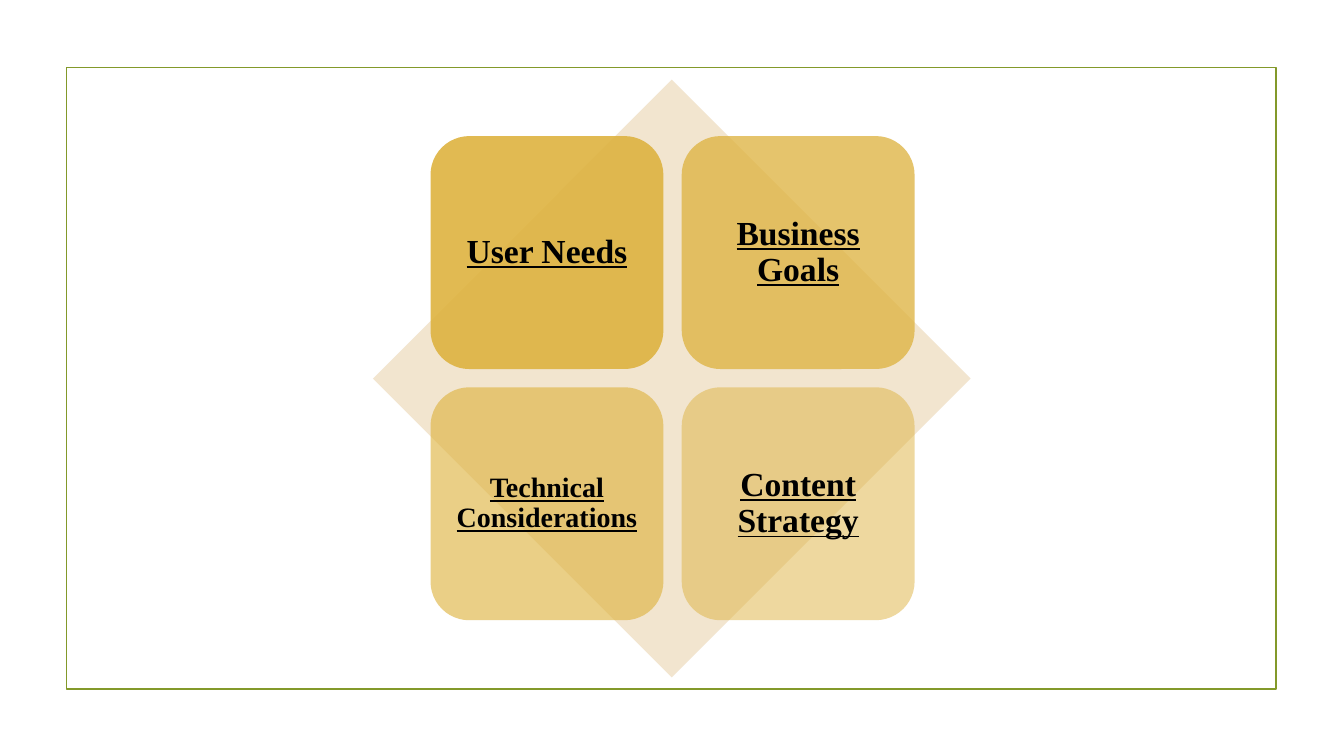
from pptx import Presentation
from pptx import util as u
from pptx.dml.color import RGBColor
from pptx.enum import shapes, text
from pptx.oxml.ns import qn
from lxml import etree

COLORS = {"frame": "83992A", "diamond": "F2E5CF", "tile": "DEB340", "text": "000000"}
FONT = "Times New Roman"
TILES = [
    ("User Needs", 24, 0.25, 90),
    ("Business Goals", 24, 0.25, 77),
    ("Technical Considerations", 20, 0.2, 63),
    ("Content Strategy", 24, 0.25, 50),
]
FRAME = (1.68, 1.7, 30.48, 15.67)
DIAMOND = (9.4, 2.01, 15.06, 15.06)
TILE_LEFT, TILE_TOP, TILE_SIZE, TILE_PITCH = 10.85, 3.43, 5.87, 6.33


def add_box(s, kind, box, fill=None):
    sp = s.shapes.add_shape(kind, *(u.Cm(v) for v in box))
    sp.shadow.inherit = False
    if fill:
        sp.fill.solid()
        sp.fill.fore_color.rgb = RGBColor.from_string(COLORS[fill])
    else:
        sp.fill.background()
    sp.line.fill.background()
    return sp


def set_opacity(sp, percent):
    color = sp.fill._xPr.find(qn("a:solidFill"))[0]
    etree.SubElement(color, qn("a:alpha")).set("val", str(percent * 1000))


def write_label(sp, label, size, inset):
    tf = sp.text_frame
    tf.word_wrap = True
    tf.vertical_anchor = text.MSO_ANCHOR.MIDDLE
    tf.margin_left = tf.margin_right = tf.margin_top = tf.margin_bottom = u.Cm(inset)
    p = tf.paragraphs[0]
    p.text = label
    p.alignment = text.PP_ALIGN.CENTER
    p.line_spacing = 0.9
    p.font.name = FONT
    p.font.size = u.Pt(size)
    p.font.bold = True
    p.font.underline = True
    p.font.color.rgb = RGBColor.from_string(COLORS["text"])


def main():
    prs = Presentation()
    prs.slide_width, prs.slide_height = u.Cm(33.87), u.Cm(19.05)
    s = prs.slides.add_slide(prs.slide_layouts[6])

    frame = add_box(s, shapes.MSO_SHAPE.RECTANGLE, FRAME)
    frame.line.color.rgb = RGBColor.from_string(COLORS["frame"])
    frame.line.width = u.Pt(1.25)
    add_box(s, shapes.MSO_SHAPE.DIAMOND, DIAMOND, "diamond")

    for i, (label, size, inset, opacity) in enumerate(TILES):
        row, col = divmod(i, 2)
        box = (TILE_LEFT + col * TILE_PITCH, TILE_TOP + row * TILE_PITCH, TILE_SIZE, TILE_SIZE)
        tile = add_box(s, shapes.MSO_SHAPE.ROUNDED_RECTANGLE, box, "tile")
        set_opacity(tile, opacity)
        write_label(tile, label, size, inset)

    prs.save("out.pptx")


if __name__ == "__main__":
    main()
